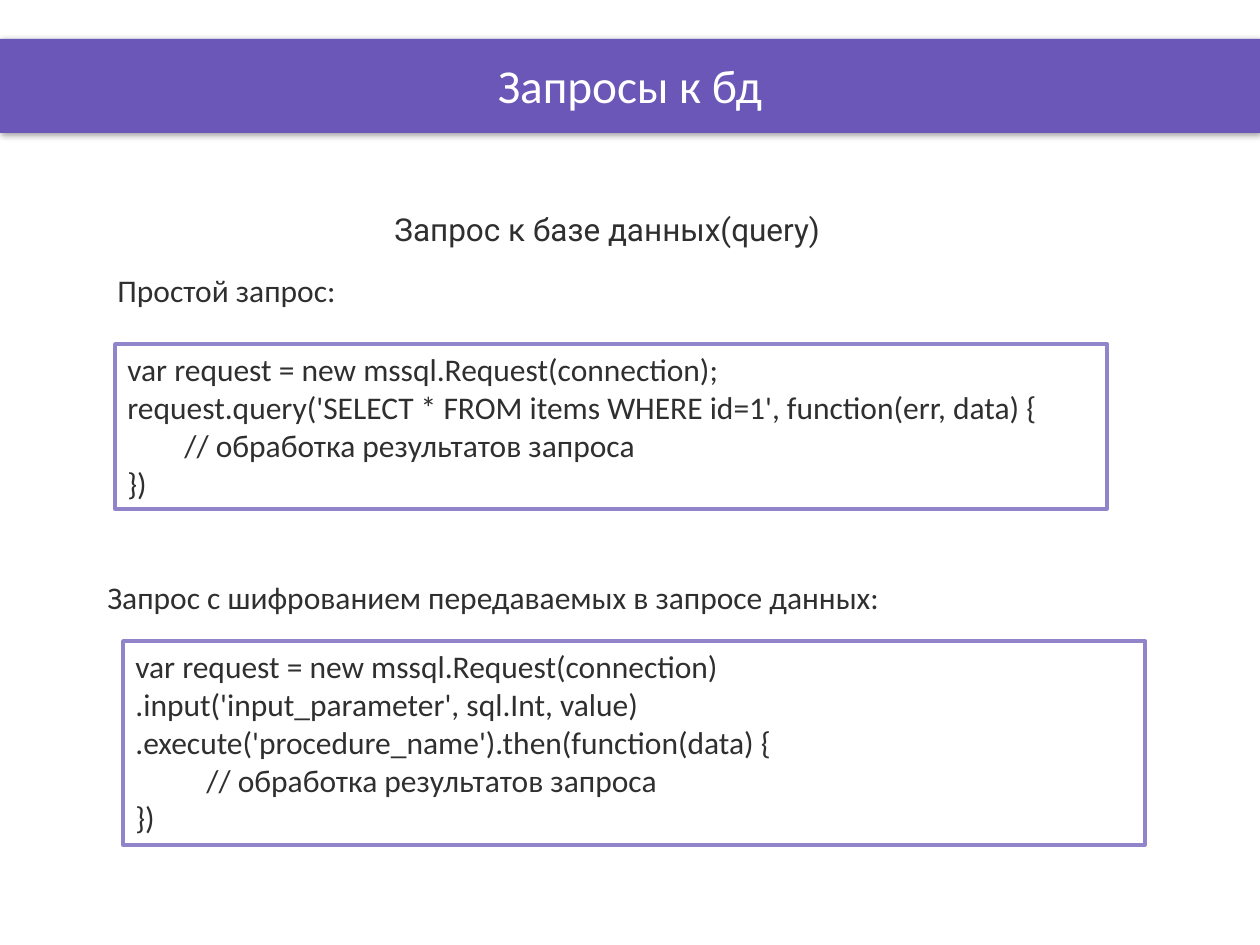
from lxml.etree import SubElement
from pptx import Presentation
from pptx.dml.color import RGBColor
from pptx.enum.shapes import MSO_SHAPE as Preset
from pptx.enum.text import MSO_ANCHOR as Anchor, PP_ALIGN as Align
from pptx.oxml.ns import qn
from pptx.util import Emu, Pt

EMU_PER_PX = 914400 / 126
COLORS = {"band": "6A57B7", "border": "9184CA", "paper": "FFFFFF",
          "ink": "2F2F2F", "shadow": "000000"}

BAND = (0, 39, 1260, 94)
TITLE = ("Запросы к бд", (63, 39, 1134, 91))

# text, box, font, wraps
LABELS = [
    ("Запрос к базе данных(query)", (382, 204, 476, 50), "Roboto", True),
    ("Простой запрос:", (105, 265, 255, 50), "Calibri", False),
    ("Запрос с шифрованием передаваемых в запросе данных:",
     (95, 572, 843, 50), "Calibri", True),
]

# box, lines of (text, indent)
CODE_BLOCKS = [
    ((115, 344, 992, 165), [
        ("var request = new mssql.Request(connection);", 0),
        ("request.query('SELECT * FROM items WHERE id=1', function(err, data) {", 0),
        ("// обработка результатов запроса", 57),
        ("})", 0),
    ]),
    ((123, 641, 1022, 204), [
        ("var request = new mssql.Request(connection)", 0),
        (".input('input_parameter', sql.Int, value)", 0),
        (".execute('procedure_name').then(function(data) {", 0),
        ("// обработка результатов запроса", 71),
        ("})", 0),
    ]),
]


def px(value):
    return Emu(round(value * EMU_PER_PX))


def rgb(name):
    return RGBColor.from_string(COLORS[name])


def add_rectangle(slide, box, fill, border=None):
    shape = slide.shapes.add_shape(Preset.RECTANGLE, *map(px, box))
    shape.shadow.inherit = False
    shape.fill.solid()
    shape.fill.fore_color.rgb = rgb(fill)
    if border:
        shape.line.color.rgb = rgb(border)
        shape.line.width = Pt(2)
    else:
        shape.line.fill.background()
    return shape


def add_drop_shadow(shape):
    effects = shape.element.spPr.find(qn("a:effectLst"))
    shadow = SubElement(effects, qn("a:outerShdw"), blurRad=str(Pt(4)),
                        dist=str(Pt(1)), dir="5400000", rotWithShape="0")
    color = SubElement(shadow, qn("a:srgbClr"), val=COLORS["shadow"])
    SubElement(color, qn("a:alpha"), val="40000")


def write_lines(shape, lines, font="Calibri", size=18, color="ink",
                align=Align.LEFT, anchor=Anchor.TOP, wrap=True):
    frame = shape.text_frame
    frame.word_wrap = wrap
    frame.vertical_anchor = anchor
    for index, (text, indent) in enumerate(lines):
        paragraph = frame.add_paragraph() if index else frame.paragraphs[0]
        paragraph.alignment = align
        if indent:
            paragraph._p.get_or_add_pPr().set("marL", str(px(indent)))
        run = paragraph.add_run()
        run.text = text
        run.font.color.rgb = rgb(color)
        for name, value in {"name": font, "size": Pt(size)}.items():
            setattr(run.font, name, value)


def main():
    presentation = Presentation()
    presentation.slide_width, presentation.slide_height = px(1260), px(945)
    slide = presentation.slides.add_slide(presentation.slide_layouts[6])

    add_drop_shadow(add_rectangle(slide, BAND, "band"))
    title, title_box = TITLE
    write_lines(slide.shapes.add_textbox(*map(px, title_box)), [(title, 0)],
                size=27, color="paper", align=Align.CENTER, anchor=Anchor.MIDDLE)

    for text, box, font, wrap in LABELS:
        label = slide.shapes.add_textbox(*map(px, box))
        write_lines(label, [(text, 0)], font=font, wrap=wrap)

    for box, lines in CODE_BLOCKS:
        write_lines(add_rectangle(slide, box, "paper", "border"), lines)

    presentation.save("out.pptx")


if __name__ == "__main__":
    main()
